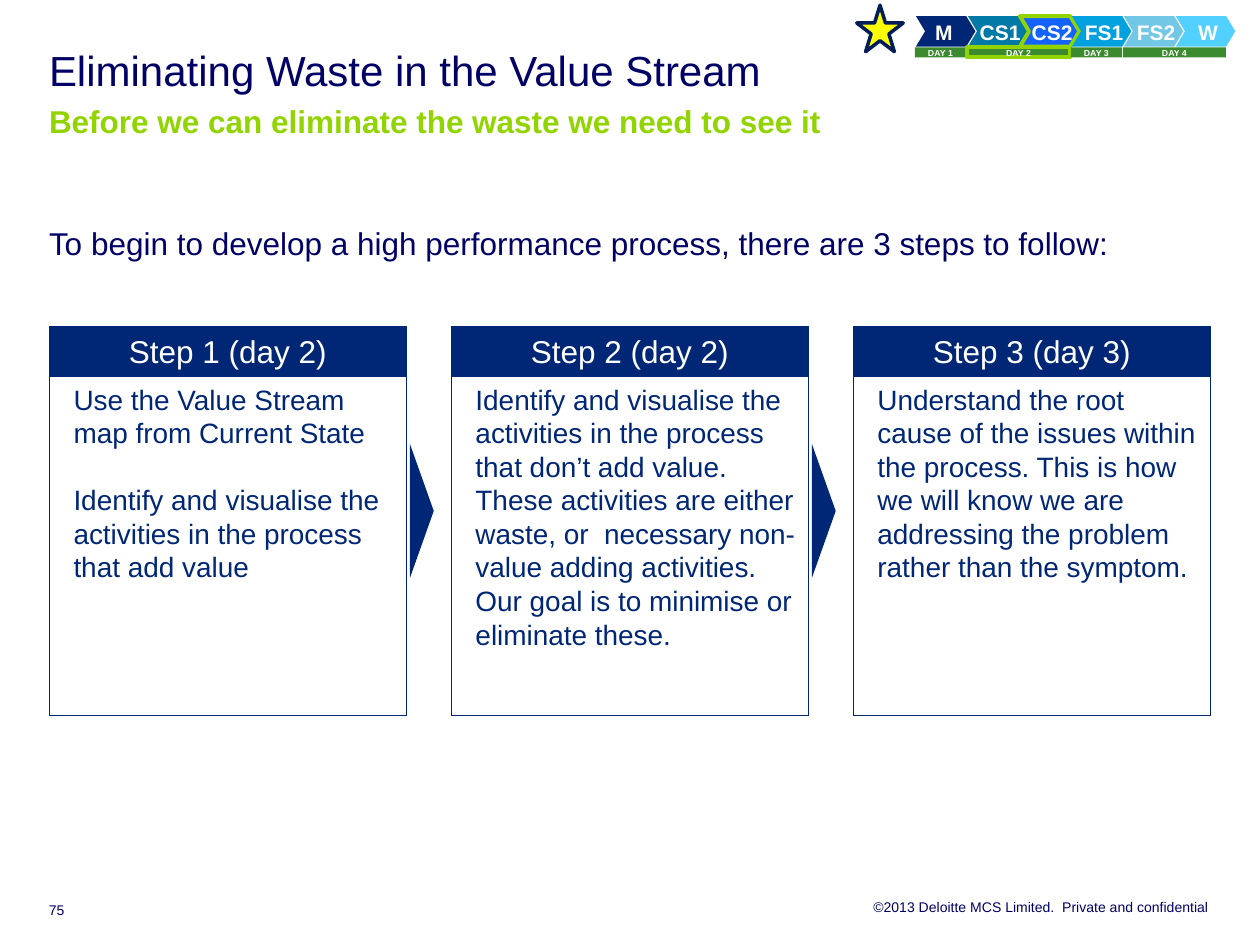
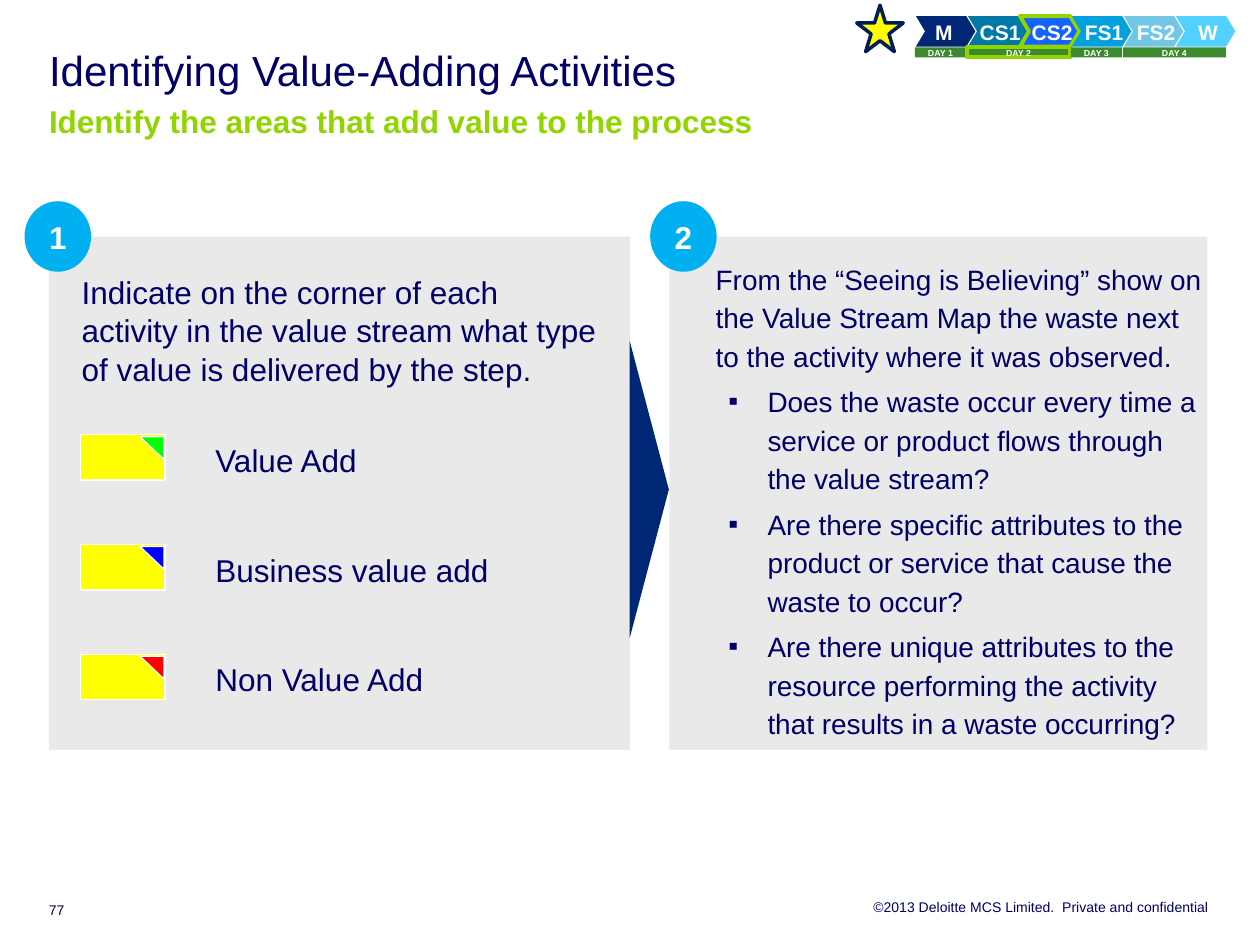
from lxml.etree import SubElement
from pptx import Presentation
from pptx.dml.color import RGBColor
from pptx.enum.shapes import MSO_SHAPE
from pptx.enum.text import MSO_ANCHOR, MSO_AUTO_SIZE, PP_ALIGN
from pptx.oxml.ns import qn
from pptx.util import Pt

INK = RGBColor(0x00, 0x00, 0x66)
NAVY = RGBColor(0x00, 0x27, 0x76)
TEAL = RGBColor(0x00, 0x79, 0xA6)
BLUE = RGBColor(0x14, 0x62, 0xFF)
CYAN = RGBColor(0x00, 0xA1, 0xDE)
PALE = RGBColor(0x72, 0xC7, 0xE7)
SKY = RGBColor(0x52, 0xD0, 0xFF)
BADGE = RGBColor(0x00, 0xB0, 0xF0)
GREEN = RGBColor(0x92, 0xD4, 0x00)
FOREST = RGBColor(0x3C, 0x8A, 0x2E)
GREY = RGBColor(0xD9, 0xD9, 0xD9)
YELLOW = RGBColor(0xFF, 0xFF, 0x00)
STAR_EDGE = RGBColor(0x00, 0x1D, 0x57)
LIME = RGBColor(0x00, 0xFF, 0x00)
PURE_BLUE = RGBColor(0x00, 0x00, 0xFF)
RED = RGBColor(0xFF, 0x00, 0x00)
WHITE = RGBColor(0xFF, 0xFF, 0xFF)

FOOTER = "©2013 Deloitte MCS Limited.  Private and confidential"
STAGES = [("M", NAVY), ("CS1", TEAL), ("CS2", BLUE), ("FS1", CYAN), ("FS2", PALE), ("W", SKY)]
DAYS = [("DAY 1", 1), ("DAY 2", 2), ("DAY 3", 1), ("DAY 4", 2)]
CURRENT = ("CS2", "DAY 2")

WASTE = {
    "title": "Eliminating Waste in the Value Stream",
    "subtitle": "Before we can eliminate the waste we need to see it",
    "number": "75",
    "intro": "To begin to develop a high performance process, there are 3 steps to follow:",
}
STEPS = [
    ("Step 1 (day 2)", ["Use the Value Stream map from Current State",
                        "Identify and visualise the activities in the process that add value"]),
    ("Step 2 (day 2)", ["Identify and visualise the activities in the process that don’t add value. "
                        "These activities are either waste, or  necessary non-value adding activities. "
                        "Our goal is to minimise or eliminate these."]),
    ("Step 3 (day 3)", ["Understand the root cause of the issues within the process. This is how we will "
                        "know we are addressing the problem rather than the symptom."]),
]

ACTIVITIES = {
    "title": "Identifying Value-Adding Activities",
    "subtitle": "Identify the areas that add value to the process",
    "number": "77",
    "intro": "Indicate on the corner of each activity in the value stream what type of value "
             "is delivered by the step.",
}
PANELS = [("1", 28, 332, 14), ("2", 382.5, 307.5, 371.5)]
VALUE_TYPES = [("Value Add", LIME, 98.6), ("Business value add", PURE_BLUE, 172),
               ("Non Value Add", RED, 136.8)]
OBSERVE = ("From the “Seeing is Believing” show on the Value Stream Map the waste next to the "
           "activity where it was observed.")
QUESTIONS = [
    "Does the waste occur every time a service or product flows through the value stream?",
    "Are there specific attributes to the product or service that cause the waste to occur?",
    "Are there unique attributes to the resource performing the activity that results in a "
    "waste occurring?",
]


def write(tf, text, size=18, color=INK, bold=False, align=PP_ALIGN.LEFT, leading=1.0,
          before=0, after=0, bullet=None):
    p = tf.add_paragraph() if tf.text else tf.paragraphs[0]
    pPr = p._p.get_or_add_pPr()
    pPr.set("marL", str(Pt(29.6) if bullet else 0))
    pPr.set("indent", str(-Pt(22.4) if bullet else 0))
    if bullet:
        SubElement(pPr, qn("a:buFont"), typeface="Arial")
        SubElement(pPr, qn("a:buChar"), char=bullet)
    else:
        SubElement(pPr, qn("a:buNone"))
    p.alignment = align
    p.line_spacing = leading
    p.space_before, p.space_after = Pt(before), Pt(after)
    r = p.add_run()
    r.text = text
    r.font.name, r.font.size, r.font.bold = "Arial", Pt(size), bold
    r.font.color.rgb = color


def frame(sp, insets=(0, 0, 0, 0), anchor=MSO_ANCHOR.TOP, wrap=True):
    tf = sp.text_frame
    tf.auto_size = MSO_AUTO_SIZE.NONE
    tf.word_wrap = wrap
    tf.vertical_anchor = anchor
    tf.margin_left, tf.margin_top, tf.margin_right, tf.margin_bottom = map(Pt, insets)
    return tf


def place(sp, x, y, w, h):
    sp.left, sp.top, sp.width, sp.height = Pt(x), Pt(y), Pt(w), Pt(h)
    return sp


def shape(shapes, kind, x, y, w, h, fill=None, line=None, weight=0.75, rotation=0):
    sp = shapes.add_shape(kind, Pt(x), Pt(y), Pt(w), Pt(h))
    sp.shadow.inherit = False
    sp.rotation = rotation
    if fill is None:
        sp.fill.background()
    else:
        sp.fill.solid()
        sp.fill.fore_color.rgb = fill
    if line is None:
        sp.line.fill.background()
    else:
        sp.line.color.rgb = line
        sp.line.width = Pt(weight)
    return sp


def textbox(s, x, y, w, h, **kw):
    return frame(s.shapes.add_textbox(Pt(x), Pt(y), Pt(w), Pt(h)), **kw)


def pointer(s, cx, cy, span, depth):
    shape(s.shapes, MSO_SHAPE.ISOSCELES_TRIANGLE, cx - span / 2, cy - depth / 2, span, depth,
          NAVY, rotation=90)


def tracker(s):
    shapes = s.shapes.add_group_shape().shapes
    step = 29.7
    for i, (name, color) in enumerate(STAGES):
        sp = shape(shapes, MSO_SHAPE.CHEVRON, 523.4 + step * i, 9.2, 34, 17.4, color,
                   GREEN if name in CURRENT else None, 2.25)
        sp.adjustments[0] = 0.3
        insets = (14.4, 4.3, 11.5, 4.3) if i else (5.8, 4.3, 0, 4.3)
        write(frame(sp, insets, MSO_ANCHOR.MIDDLE, False), name, size=12, color=WHITE, bold=True,
              align=PP_ALIGN.CENTER if i else PP_ALIGN.LEFT, leading=1.1)
    x = 522.8
    for name, stages in DAYS:
        sp = shape(shapes, MSO_SHAPE.RECTANGLE, x, 27, step * stages - 0.4, 5.8, FOREST,
                   GREEN if name in CURRENT else None, 2.25)
        write(frame(sp, (2.9, 0, 2.9, 0)), name, size=5, color=WHITE, bold=True,
              align=PP_ALIGN.CENTER)
        x += step * stages
    shape(s.shapes, MSO_SHAPE.STAR_5_POINT, 489.6, 3, 26.6, 26.6, YELLOW, STAR_EDGE, 2)


def new_slide(prs, content):
    s = prs.slides.add_slide(prs.slide_layouts[1])
    tf = frame(place(s.shapes.title, 28, 28, 663, 50))
    write(tf, content["title"], size=24, leading=Pt(26))
    write(tf, content["subtitle"], color=GREEN, bold=True, leading=Pt(26))
    write(textbox(s, 245, 513.4, 445.9, 9.4), FOOTER, size=8, align=PP_ALIGN.RIGHT)
    write(textbox(s, 28, 515.5, 28, 9.4, anchor=MSO_ANCHOR.BOTTOM), content["number"], size=8)
    tracker(s)
    return s, s.placeholders[1]


def waste_slide(prs):
    s, body = new_slide(prs, WASTE)
    write(frame(place(body, 28, 130.3, 663, 44)), WASTE["intro"], leading=0.9)
    width, pitch, top, head = 204, 229.7, 186.5, 28.3
    for i, (name, paragraphs) in enumerate(STEPS):
        x = 28.2 + pitch * i
        sp = shape(s.shapes, MSO_SHAPE.RECTANGLE, x, top, width, head, NAVY, NAVY, 0.25)
        write(frame(sp, anchor=MSO_ANCHOR.MIDDLE), name, color=WHITE, align=PP_ALIGN.CENTER)
        sp = shape(s.shapes, MSO_SHAPE.RECTANGLE, x, top + head, width, 194, None, NAVY, 0.25)
        tf = frame(sp, (13.8, 3.6, 6, 3.6))
        for n, text in enumerate(paragraphs):
            write(tf, text, size=16, color=NAVY, before=19 if n else 0)
        if i:
            pointer(s, x - pitch + width + 8.8, 292, 77, 13.7)


def activities_slide(prs):
    s, body = new_slide(prs, ACTIVITIES)
    for number, x, width, badge_x in PANELS:
        sp = shape(s.shapes, MSO_SHAPE.RECTANGLE, x, 135.2, width, 293.4, GREY)
        color = sp.fill._xPr.find(qn("a:solidFill"))[0]
        SubElement(color, qn("a:alpha"), val="57000")
        sp = shape(s.shapes, MSO_SHAPE.OVAL, badge_x, 115, 38, 40.3, BADGE)
        write(frame(sp, anchor=MSO_ANCHOR.MIDDLE, wrap=False), number, color=WHITE, bold=True,
              align=PP_ALIGN.CENTER)
    pointer(s, 371, 279.7, 170, 22.4)

    s.shapes.element.append(body.element)
    write(frame(place(body, 46.6, 155.5, 294.5, 273)), ACTIVITIES["intro"], leading=Pt(22))

    for i, (name, color, width) in enumerate(VALUE_TYPES):
        y = 248.4 + 62.7 * i
        shapes = s.shapes.add_group_shape().shapes
        shape(shapes, MSO_SHAPE.RECTANGLE, 46, y, 48.4, 26, YELLOW, WHITE)
        shape(shapes, MSO_SHAPE.RIGHT_TRIANGLE, 80, y + 1.2, 13.7, 13, color, WHITE, rotation=180)
        write(textbox(s, 116, y, width, 28.8, insets=(7.2, 3.6, 7.2, 3.6), wrap=False), name)

    tf = textbox(s, 409, 147, 282, 281.6)
    write(tf, OBSERVE, size=16, leading=Pt(22), after=4)
    for question in QUESTIONS:
        write(tf, question, size=16, leading=Pt(22), after=4, bullet="▪")


def main():
    prs = Presentation()
    prs.slide_width, prs.slide_height = Pt(720), Pt(540)
    waste_slide(prs)
    activities_slide(prs)
    prs.save("out.pptx")


if __name__ == "__main__":
    main()
